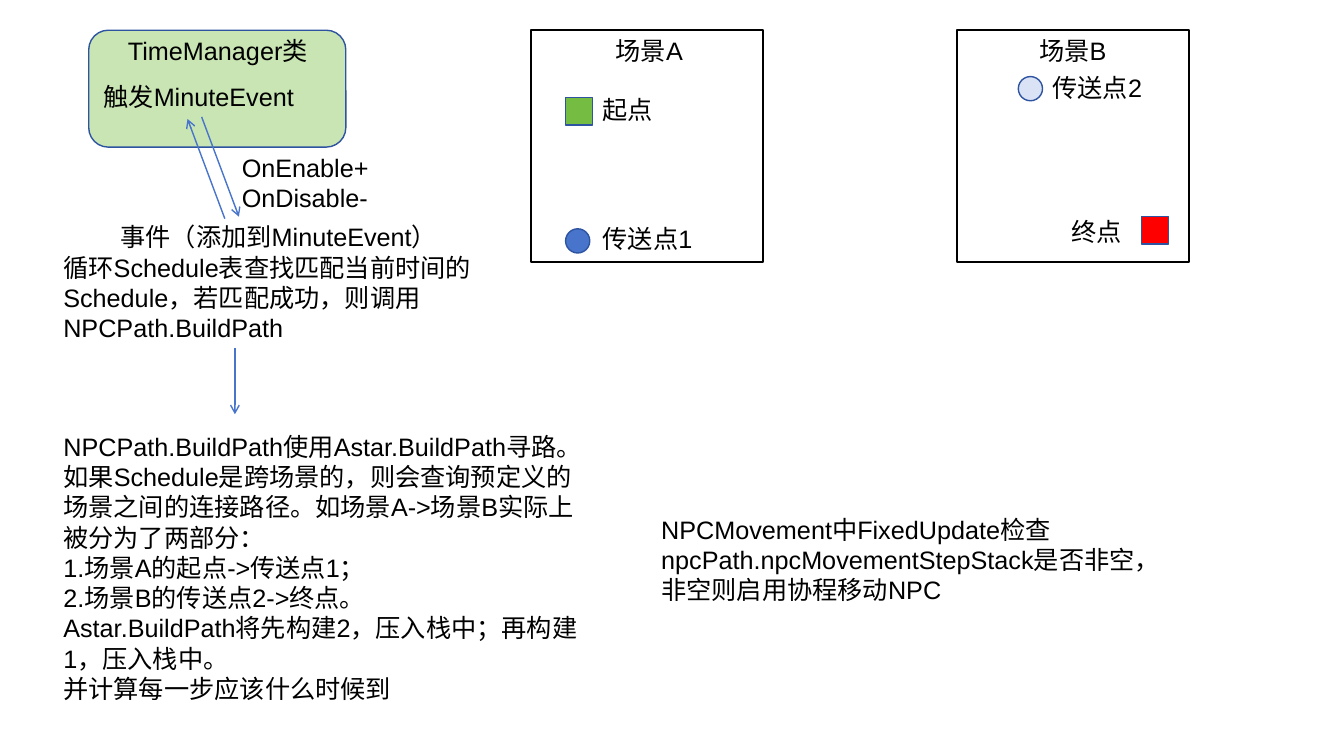
from dataclasses import dataclass

from lxml import etree
from pptx import Presentation
from pptx import util as u
from pptx.dml.color import RGBColor
from pptx.enum import shapes, text
from pptx.oxml.ns import qn

KIND = shapes.MSO_SHAPE
EDGE, BLUE, BLACK = "2E54A1", "4874CB", "000000"
FONT = {"name": "Arial", "size": u.Pt(18)}
FRAME = {"word_wrap": True, "auto_size": text.MSO_AUTO_SIZE.SHAPE_TO_FIT_TEXT}
LEFT, MID = text.PP_ALIGN.LEFT, text.PP_ALIGN.CENTER


@dataclass
class Mark:
    kind: shapes.MSO_SHAPE
    left: float
    top: float
    width: float
    height: float
    fill: str | None
    line: str = EDGE
    weight: float = 1


@dataclass
class Label:
    left: float
    top: float
    width: float
    height: float
    lines: list[str]
    first: text.PP_ALIGN = LEFT  # alignment of the first line


@dataclass
class Arrow:
    start: tuple[float, float]
    end: tuple[float, float]


def color(code: str) -> RGBColor:
    return RGBColor.from_string(code)


def apply(target, values: dict) -> None:
    for name, value in values.items():
        setattr(target, name, value)


def scene(left: float) -> Mark:
    return Mark(KIND.RECTANGLE, left, 0.3, 2.3, 2.3, None, BLACK, 1.5)


def stop(left: float, top: float, fill: str) -> Mark:
    """Square for the start or end of a route."""
    return Mark(KIND.RECTANGLE, left, top, 0.27, 0.27, fill)


def portal(left: float, top: float, fill: str) -> Mark:
    return Mark(KIND.OVAL, left, top, 0.24, 0.24, fill)


def tag(left: float, top: float, width: float, words: str, first=LEFT) -> Label:
    """One-line label."""
    return Label(left, top, width, 0.4, [words], first)


def draw_mark(slide, mark: Mark) -> None:
    box = map(u.Inches, (mark.left, mark.top, mark.width, mark.height))
    shape = slide.shapes.add_shape(mark.kind, *box)
    shape.shadow.inherit = False
    if mark.fill:
        shape.fill.solid()
        shape.fill.fore_color.rgb = color(mark.fill)
    else:
        shape.fill.background()
    shape.line.color.rgb = color(mark.line)
    shape.line.width = u.Pt(mark.weight)


def draw_label(slide, label: Label) -> None:
    box = map(u.Inches, (label.left, label.top, label.width, label.height))
    frame = slide.shapes.add_textbox(*box).text_frame
    apply(frame, FRAME)
    for i, line in enumerate(label.lines):
        para = frame.add_paragraph() if i else frame.paragraphs[0]
        para.alignment = LEFT if i else label.first
        run = para.add_run()
        run.text = line
        apply(run.font, FONT)
        run.font.color.rgb = color(BLACK)


def draw_arrow(slide, arrow: Arrow) -> None:
    ends = map(u.Inches, (*arrow.start, *arrow.end))
    link = slide.shapes.add_connector(shapes.MSO_CONNECTOR.STRAIGHT, *ends)
    link.line.color.rgb = color(BLUE)
    link.line.width = u.Pt(1)
    etree.SubElement(link.line._get_or_add_ln(), qn("a:tailEnd"), type="arrow")
    etree.SubElement(link._element.spPr, qn("a:effectLst"))


MARKS = [
    Mark(KIND.ROUNDED_RECTANGLE, 0.88, 0.3, 2.55, 1.16, "C8E5B3"),
    scene(5.27),
    scene(9.49),
    stop(5.61, 0.97, "75BD42"),
    stop(11.32, 2.15, "FF0000"),
    portal(5.61, 2.27, BLUE),
    portal(10.1, 0.76, "DAE3F5"),
]

ARROWS = [
    Arrow((2.23, 2.17), (1.86, 1.18)),
    Arrow((2, 1.16), (2.37, 2.15)),
    Arrow((2.33, 3.45), (2.33, 4.11)),
]

LABELS = [
    tag(1.07, 0.3, 2.18, "TimeManager类", MID),
    tag(0.88, 0.76, 2.18, "触发MinuteEvent", MID),
    Label(0.53, 2.15, 4.47, 1.31, [
        "事件（添加到MinuteEvent）",
        "循环Schedule表查找匹配当前时间的Schedule，若匹配成功，则调用NPCPath.BuildPath",
    ], MID),
    Label(2.3, 1.46, 1.94, 0.71, ["OnEnable+", "OnDisable-"]),
    tag(5.35, 0.3, 2.18, "场景A", MID),
    tag(9.55, 0.3, 2.18, "场景B", MID),
    tag(5.88, 0.89, 0.81, "起点"),
    tag(5.88, 2.17, 1.17, "传送点1"),
    tag(10.34, 0.67, 1.18, "传送点2"),
    tag(10.53, 2.1, 0.76, "终点"),
    Label(0.53, 4.23, 5.35, 2.83, [
        "NPCPath.BuildPath使用Astar.BuildPath寻路。如果Schedule是跨场景的，则会查询预定义"
        "的场景之间的连接路径。如场景A->场景B实际上被分为了两部分：",
        "1.场景A的起点->传送点1；",
        "2.场景B的传送点2->终点。",
        "Astar.BuildPath将先构建2，压入栈中；再构建1，压入栈中。",
        "并计算每一步应该什么时候到",
    ]),
    Label(6.46, 5.05, 5.84, 1.01, [
        "NPCMovement中FixedUpdate检查npcPath.npcMovementStepStack是否非空，",
        "非空则启用协程移动NPC",
    ]),
]


def main() -> None:
    deck = Presentation()
    apply(deck, {"slide_width": u.Inches(13.33), "slide_height": u.Inches(7.5)})
    slide = deck.slides.add_slide(deck.slide_layouts[6])
    for draw, items in ((draw_mark, MARKS), (draw_arrow, ARROWS), (draw_label, LABELS)):
        for item in items:
            draw(slide, item)
    deck.save("out.pptx")


if __name__ == "__main__":
    main()
